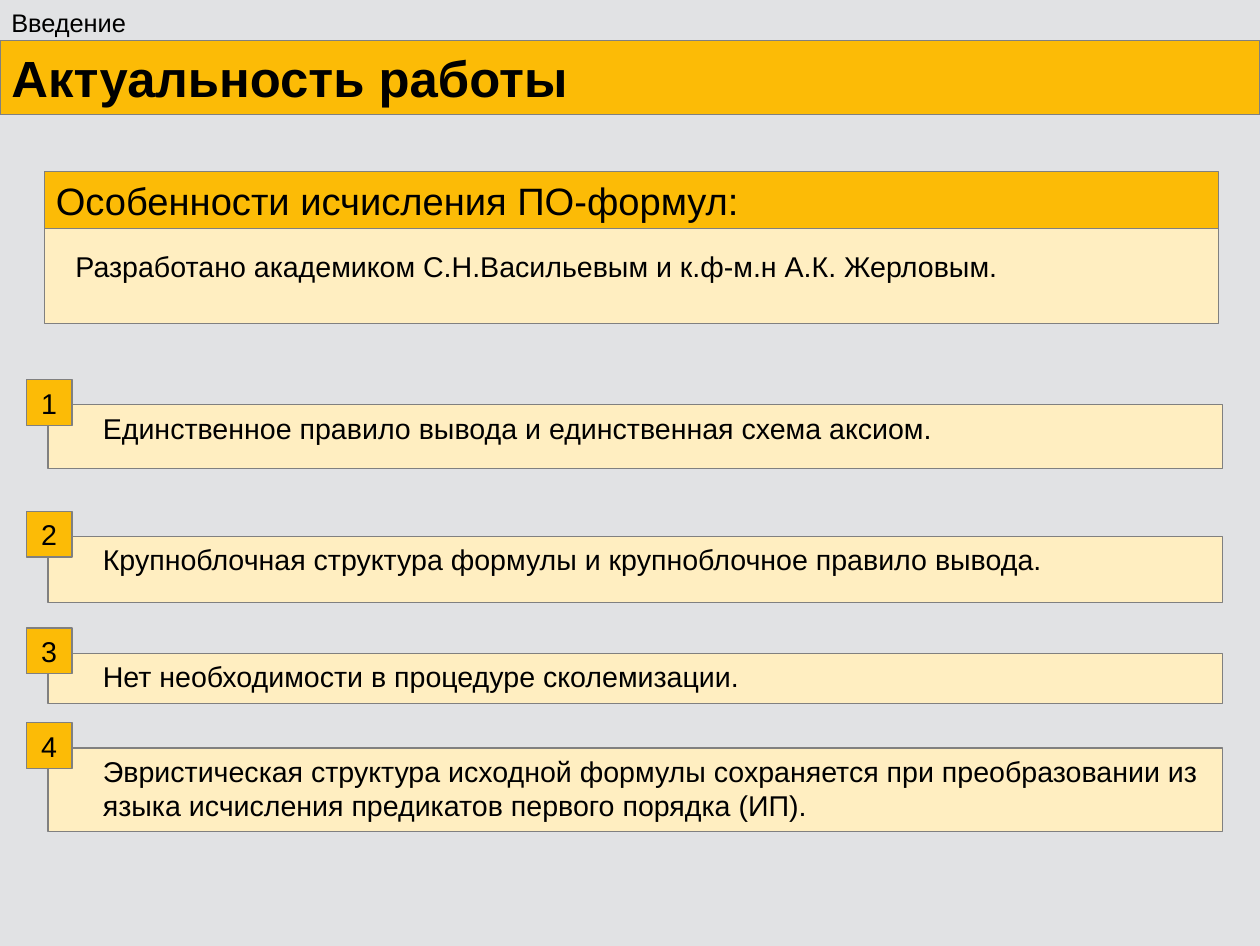
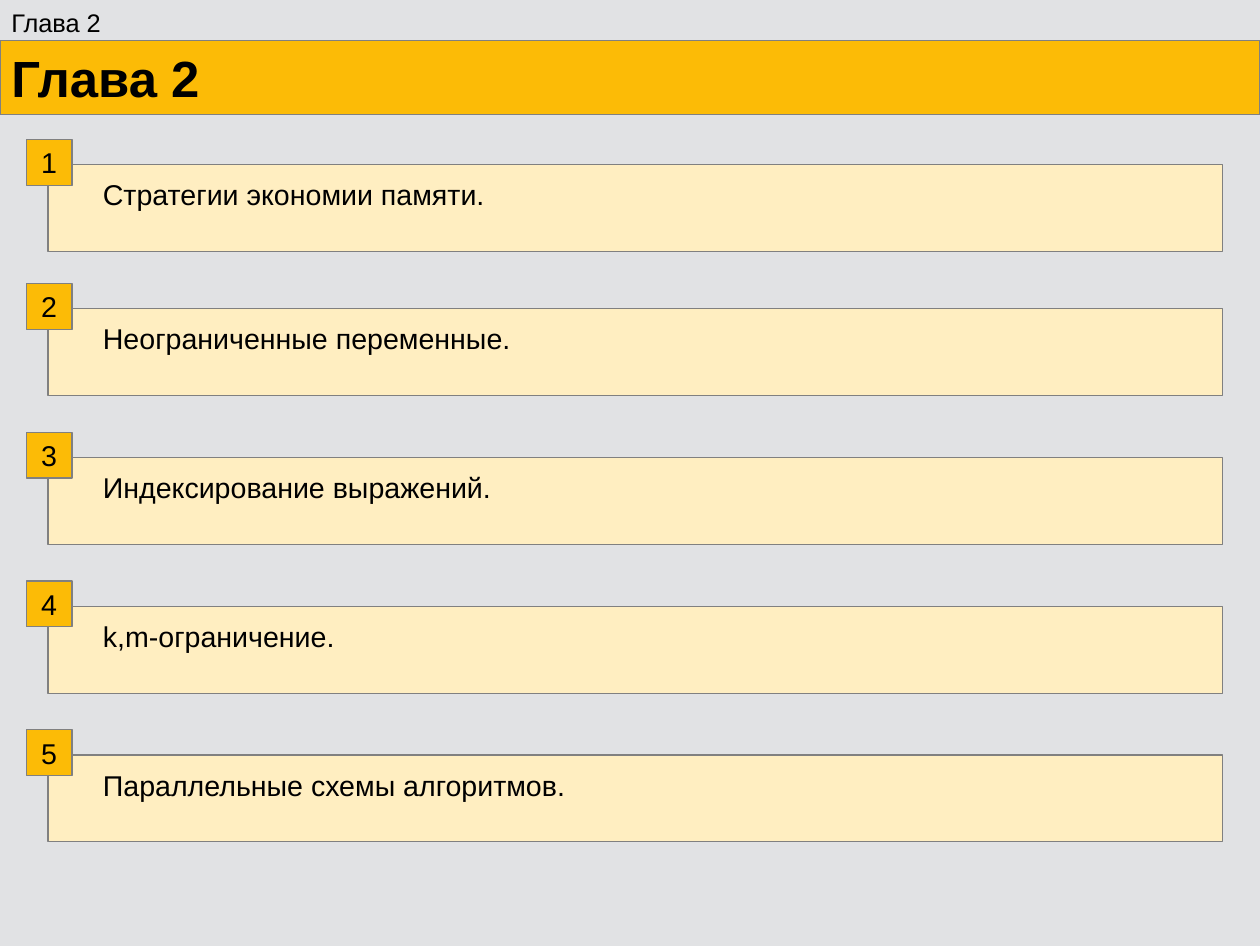
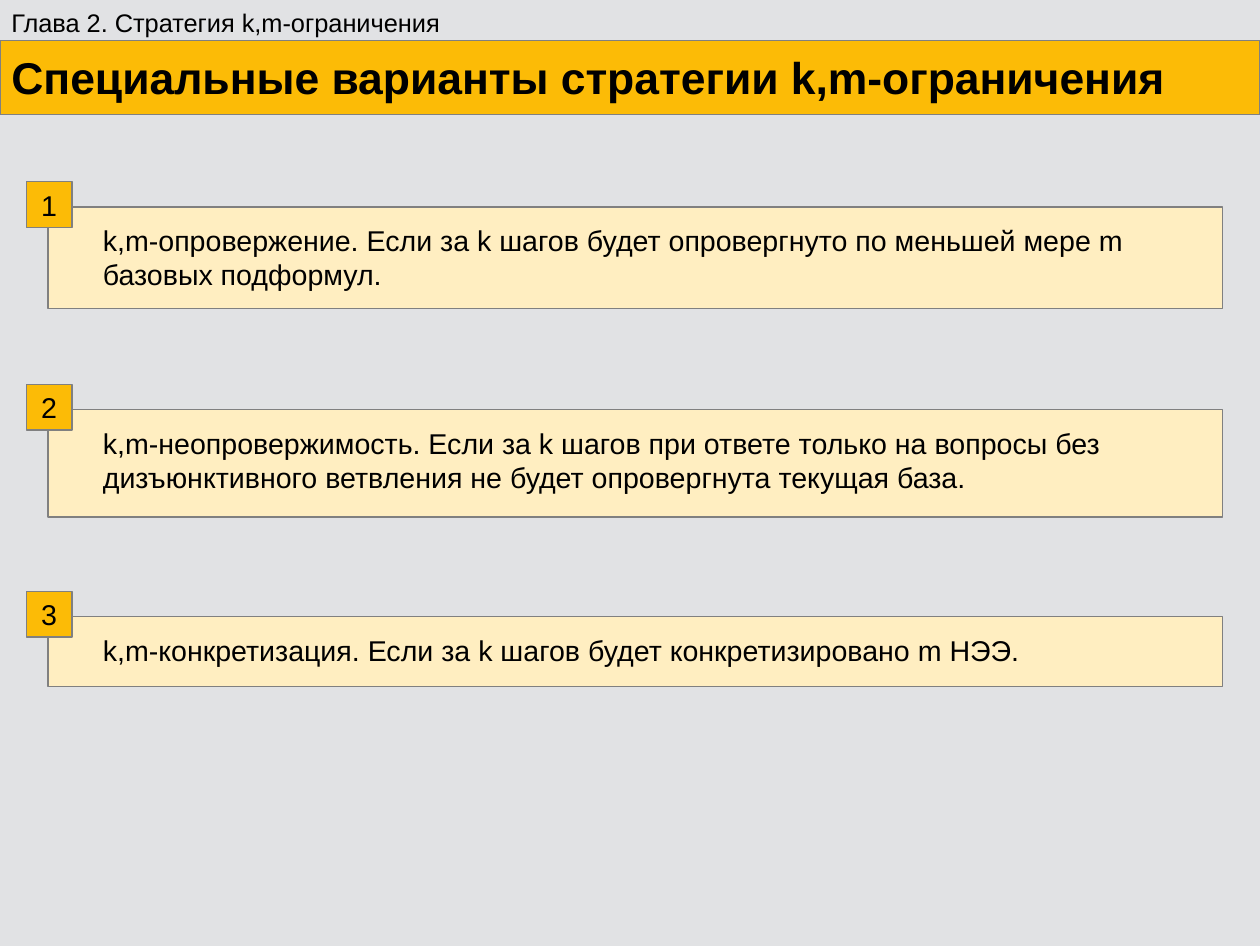
from pptx import Presentation
from pptx.dml.color import RGBColor
from pptx.enum.shapes import MSO_SHAPE
from pptx.enum.text import MSO_ANCHOR, MSO_AUTO_SIZE, PP_ALIGN
from pptx.util import Inches, Pt

RECT = MSO_SHAPE.RECTANGLE
TOP, MIDDLE = MSO_ANCHOR.TOP, MSO_ANCHOR.MIDDLE
LEFT, CENTER = PP_ALIGN.LEFT, PP_ALIGN.CENTER
FIXED = MSO_AUTO_SIZE.NONE

COLORS = {"back": "E1E2E4", "gold": "FCBB06", "cream": "FFEEC1",
          "line": "808080", "text": "000000"}
FONT = "Arial"
CELL = Inches(0.1)          # one grid column or row
COLS, ROWS = 110.2, 82.7
WIDE = 102.7                # columns of a panel
PAD = (1, 0.5, 1, 0.5)      # left, top, right, bottom


def cells(count):
    return round(count * CELL)


def color(name):
    return RGBColor.from_string(COLORS[name])


class Deck:
    """Holds the shared style and the current slide; lengths are grid cells."""

    def __init__(self):
        self.prs = Presentation()
        self.prs.slide_width, self.prs.slide_height = cells(COLS), cells(ROWS)
        self.paint(self.prs.slide_master.background.fill, "back")
        self.slide = None

    def paint(self, fill, name):
        fill.solid()
        fill.fore_color.rgb = color(name)

    def frame(self, shape, fill):
        self.paint(shape.fill, fill)
        shape.line.color.rgb = color("line")
        shape.line.width = Pt(0)

    def label(self, shape, text, size, bold=False, align=LEFT,
              anchor=MIDDLE, pad=PAD):
        body = shape.text_frame
        body.text = text
        body.word_wrap = True
        body.auto_size = FIXED
        body.vertical_anchor = anchor
        (body.margin_left, body.margin_top,
         body.margin_right, body.margin_bottom) = map(cells, pad)
        for line in body.paragraphs:
            line.alignment = align
            font = line.font
            font.name, font.size, font.bold = FONT, Pt(size), bold
            font.color.rgb = color("text")

    def page(self, crumb, title, size=32):
        """Start a slide with its section name and title band."""
        self.slide = self.prs.slides.add_slide(self.prs.slide_layouts[5])
        band = self.slide.shapes.title
        band.left, band.top = 0, cells(3.5)
        band.width, band.height = cells(COLS), cells(6.5)
        self.frame(band, "gold")
        self.label(band, title, size, bold=True)
        note = self.slide.shapes.add_textbox(0, cells(0.1), cells(COLS),
                                             cells(3.8))
        self.label(note, crumb, 16, anchor=TOP)

    def box(self, x, y, w, h, fill, text, size=18, **style):
        shape = self.slide.shapes.add_shape(RECT, *map(cells, (x, y, w, h)))
        shape.shadow.inherit = False
        self.frame(shape, fill)
        self.label(shape, text, size, **style)

    def card(self, x, y, head, text):
        """Add a heading bar with a panel under it."""
        self.box(x, y, WIDE, 5, "gold", head, 24)
        self.box(x, y + 5, WIDE, 8.3, "cream", text, anchor=TOP,
                 pad=(2.7, 1.8, 1, 0.5))

    def items(self, rows, drop):
        """Add numbered panels from (top, height, text); drop lowers the text."""
        for number, (top, high, text) in enumerate(rows, 1):
            self.box(4.2, top, WIDE, high, "cream", text, anchor=TOP,
                     pad=(4.8, 0.5 + drop, 1.9, 0))
            self.box(2.3, top - 2.2, 4, 4, "gold", str(number), align=CENTER)


def main():
    deck = Deck()

    deck.page("Введение", "Актуальность работы")
    deck.card(3.9, 15, "Особенности исчисления ПО-формул:",
              "Разработано академиком С.Н.Васильевым и к.ф-м.н А.К. Жерловым.")
    deck.items([
        (35.4, 5.6, "Единственное правило вывода и единственная схема аксиом."),
        (46.9, 5.8, "Крупноблочная структура формулы и крупноблочное "
                    "правило вывода."),
        (57.1, 4.4, "Нет необходимости в процедуре сколемизации."),
        (65.4, 7.3, "Эвристическая структура исходной формулы сохраняется при "
                    "преобразовании из языка исчисления предикатов первого "
                    "порядка (ИП)."),
    ], drop=0)

    deck.page("Глава 2", "Глава 2")
    tops = [14.4] + [27 + 13 * step for step in range(4)]
    topics = ["Стратегии экономии памяти.", "Неограниченные переменные.",
              "Индексирование выражений.", "k,m-ограничение.",
              "Параллельные схемы алгоритмов."]
    deck.items([(top, 7.6, topic) for top, topic in zip(tops, topics)],
               drop=0.6)

    deck.page("Глава 2. Стратегия k,m-ограничения",
              "Специальные варианты стратегии k,m-ограничения", 28)
    deck.items([
        (18.1, 8.9, "k,m-опровержение. Если за k шагов будет опровергнуто "
                    "по меньшей мере m базовых подформул."),
        (35.8, 9.4, "k,m-неопровержимость. Если за k шагов при ответе только "
                    "на вопросы без\nдизъюнктивного ветвления не будет "
                    "опровергнута текущая база."),
        (53.9, 6.1, "k,m-конкретизация. Если за k шагов будет "
                    "конкретизировано m НЭЭ."),
    ], drop=0.9)

    deck.prs.save("out.pptx")


if __name__ == "__main__":
    main()
